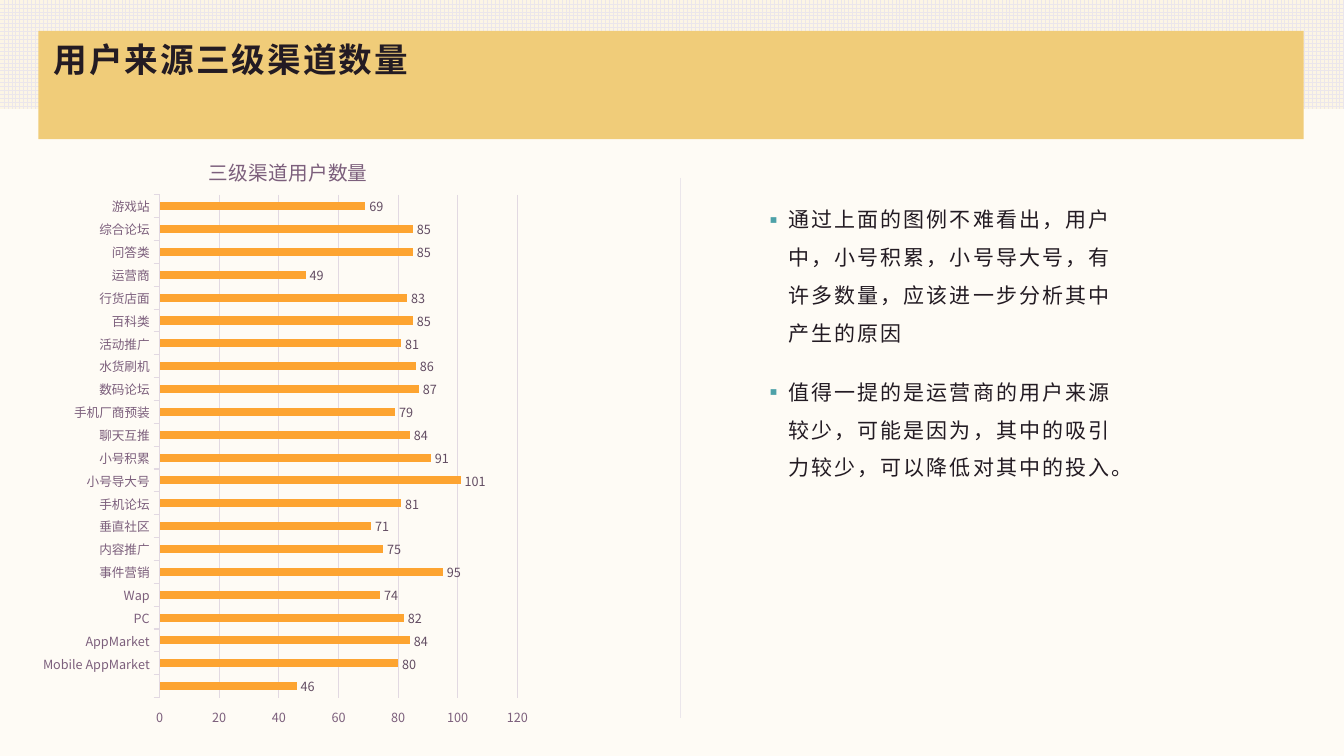
import pptx
import pptx.chart.data
import pptx.dml.color
import pptx.enum.chart
import pptx.enum.dml
import pptx.enum.shapes
import pptx.enum.text
import pptx.oxml
import pptx.oxml.ns
import pptx.util

Pt = pptx.util.Pt
TEXT_FONT = "Noto Sans CJK SC"
CHART_FONT = "Noto Sans CJK JP"
NUMBER_FORMAT = "###,###,###,###,###,##0"
COLORS = {
    "background": "FEFBF5", "cream": "FCF5E5", "mist": "EBE6EB",
    "band": "F0CC79", "text": "231B23", "bullet": "4DA1A8",
    "axis": "7C5F7C", "grid": "E2D9E2", "bar": "FDA431", "label": "624C62",
}
CHANNELS = [
    ("", 46), ("Mobile AppMarket", 80), ("AppMarket", 84), ("PC", 82),
    ("Wap", 74), ("事件营销", 95), ("内容推广", 75), ("垂直社区", 71),
    ("手机论坛", 81), ("小号导大号", 101), ("小号积累", 91), ("聊天互推", 84),
    ("手机厂商预装", 79), ("数码论坛", 87), ("水货刷机", 86), ("活动推广", 81),
    ("百科类", 85), ("行货店面", 83), ("运营商", 49), ("问答类", 85),
    ("综合论坛", 85), ("游戏站", 69),
]
FINDINGS = [
    "通过上面的图例不难看出，用户中，小号积累，小号导大号，有许多数量，应该进一步分析其中产生的原因",
    "值得一提的是运营商的用户来源较少，可能是因为，其中的吸引力较少，可以降低对其中的投入。",
]


def rgb(name):
    return pptx.dml.color.RGBColor.from_string(COLORS[name])


def xml_element(tag, **attributes):
    element = pptx.oxml.parse_xml(f"<{tag} {pptx.oxml.ns.nsdecls('a')}/>")
    for key, value in attributes.items():
        element.set(key, value)
    return element


def format_font(font, size, color, name=CHART_FONT, bold=False):
    font.size, font.bold, font.name = Pt(size), bold, name
    font.color.rgb = rgb(color)
    latin = font._rPr.find(pptx.oxml.ns.qn("a:latin"))
    latin.addnext(xml_element("a:ea", typeface=name))


def write_text(paragraph, text, size, color="text", name=TEXT_FONT, bold=False, spacing=0):
    run = paragraph.add_run()
    run.text = text
    format_font(run.font, size, color, name, bold)
    if spacing:
        run._r.get_or_add_rPr().set("spc", str(round(spacing * 100)))


def add_rectangle(slide, left, top, width, height, fill, pattern_color=None):
    shape = slide.shapes.add_shape(
        pptx.enum.shapes.MSO_SHAPE.RECTANGLE, Pt(left), Pt(top), Pt(width), Pt(height))
    shape.shadow.inherit = False
    shape.line.fill.background()
    if pattern_color:
        shape.fill.patterned()
        shape.fill.pattern = pptx.enum.dml.MSO_PATTERN.LARGE_GRID
        shape.fill.fore_color.rgb = rgb(pattern_color)
        shape.fill.back_color.rgb = rgb(fill)
    else:
        shape.fill.solid()
        shape.fill.fore_color.rgb = rgb(fill)


def add_divider(slide, x, top, bottom):
    line = slide.shapes.add_connector(
        pptx.enum.shapes.MSO_CONNECTOR.STRAIGHT, Pt(x), Pt(top), Pt(x), Pt(bottom))
    line.line.color.rgb = rgb("mist")
    line.line.width = Pt(0.5)
    line._element.spPr.append(xml_element("a:effectLst"))


def place(slide, placeholder, left, top, width, height, anchor):
    """Moves a placeholder to the front and returns its text frame."""
    placeholder.left, placeholder.top = Pt(left), Pt(top)
    placeholder.width, placeholder.height = Pt(width), Pt(height)
    slide.shapes._spTree.append(placeholder._element)
    frame = placeholder.text_frame
    frame.word_wrap = True
    frame.auto_size = pptx.enum.text.MSO_AUTO_SIZE.NONE
    frame.vertical_anchor = anchor
    return frame


def fill_title(slide, text):
    frame = place(slide, slide.shapes.title, 31, 21, 859, 46,
                  pptx.enum.text.MSO_ANCHOR.MIDDLE)
    paragraph = frame.paragraphs[0]
    paragraph.alignment = pptx.enum.text.PP_ALIGN.LEFT
    paragraph.line_spacing = 0.9
    write_text(paragraph, text, 24, bold=True, spacing=1.5)


def fill_findings(slide, findings):
    frame = place(slide, slide.placeholders[1], 538, 134.7, 276, 328,
                  pptx.enum.text.MSO_ANCHOR.TOP)
    for index, finding in enumerate(findings):
        paragraph = frame.add_paragraph() if index else frame.paragraphs[0]
        paragraph.alignment = pptx.enum.text.PP_ALIGN.LEFT
        paragraph.line_spacing = Pt(27.1)
        paragraph.space_before = Pt(15 if index else 0)
        properties = paragraph._p.get_or_add_pPr()
        properties.set("marL", str(Pt(18)))
        properties.set("indent", str(-Pt(18)))
        bullet_color = xml_element("a:buClr")
        bullet_color.append(xml_element("a:srgbClr", val=COLORS["bullet"]))
        properties.append(bullet_color)
        properties.append(xml_element("a:buFont", typeface=TEXT_FONT))
        properties.append(xml_element("a:buChar", char="▪"))
        write_text(paragraph, finding, 15, spacing=1.5)


def set_layout(parent, x, y, width=None, height=None):
    """Sets a manual chart layout, as fractions of the chart area."""
    layout = parent.find(pptx.oxml.ns.qn("c:layout"))
    if layout is not None:
        parent.remove(layout)
    parts = [("xMode", "edge"), ("yMode", "edge"), ("x", x), ("y", y)]
    if width:
        parts = [("layoutTarget", "inner")] + parts + [("w", width), ("h", height)]
    body = "".join(f'<c:{tag} val="{value}"/>' for tag, value in parts)
    layout = pptx.oxml.parse_xml(
        f"<c:layout {pptx.oxml.ns.nsdecls('c')}><c:manualLayout>{body}</c:manualLayout></c:layout>")
    text = parent.find(pptx.oxml.ns.qn("c:tx"))
    if text is None:
        parent.insert(0, layout)
    else:
        text.addnext(layout)


def add_channel_chart(slide, title, channels):
    data = pptx.chart.data.CategoryChartData(number_format=NUMBER_FORMAT)
    data.categories = [name for name, _ in channels]
    data.add_series("Series 1", [count for _, count in channels])
    chart = slide.shapes.add_chart(
        pptx.enum.chart.XL_CHART_TYPE.BAR_CLUSTERED,
        Pt(24), Pt(91), Pt(360), Pt(438), data).chart
    format_font(chart.font, 10, "text")
    chart.has_legend = False

    # Chart title and plot area
    chart.has_title = True
    write_text(chart.chart_title.text_frame.paragraphs[0], title, 14, "axis", CHART_FONT)
    chart.chart_title.include_in_layout = False
    set_layout(chart.chart_title._element, 0.34, 0.04)
    set_layout(chart._chartSpace.chart.plotArea, 0.25, 0.11, 0.71, 0.82)

    # Axes
    for axis in (chart.category_axis, chart.value_axis):
        format_font(axis.tick_labels.font, 9, "axis")
        axis.major_tick_mark = pptx.enum.chart.XL_TICK_MARK.OUTSIDE
    values = chart.value_axis
    values.minimum_scale, values.maximum_scale, values.major_unit = 0, 120, 20
    values.tick_labels.number_format = NUMBER_FORMAT
    values.tick_labels.number_format_is_linked = False
    values.format.line.fill.background()
    for line in (chart.category_axis.format.line, values.major_gridlines.format.line):
        line.color.rgb = rgb("grid")
        line.width = Pt(0.75)

    # Bars and labels
    plot = chart.plots[0]
    plot.gap_width, plot.vary_by_categories = 182, False
    plot.series[0].format.fill.solid()
    plot.series[0].format.fill.fore_color.rgb = rgb("bar")
    labels = plot.series[0].data_labels
    labels.show_value = True
    labels.position = pptx.enum.chart.XL_LABEL_POSITION.OUTSIDE_END
    labels.number_format, labels.number_format_is_linked = NUMBER_FORMAT, False
    format_font(labels.font, 9, "label")


def main():
    presentation = pptx.Presentation()
    presentation.slide_width, presentation.slide_height = Pt(960), Pt(540)
    slide = presentation.slides.add_slide(presentation.slide_layouts[1])
    slide.background.fill.solid()
    slide.background.fill.fore_color.rgb = rgb("background")

    # Backdrop
    add_rectangle(slide, 0, 0, 960, 77.8, "cream", pattern_color="mist")
    add_rectangle(slide, 27.5, 22, 903.7, 77.5, "band")
    add_divider(slide, 486, 127, 513)

    # Content
    fill_title(slide, "用户来源三级渠道数量")
    fill_findings(slide, FINDINGS)
    add_channel_chart(slide, "三级渠道用户数量", CHANNELS)
    presentation.save("out.pptx")


if __name__ == "__main__":
    main()
